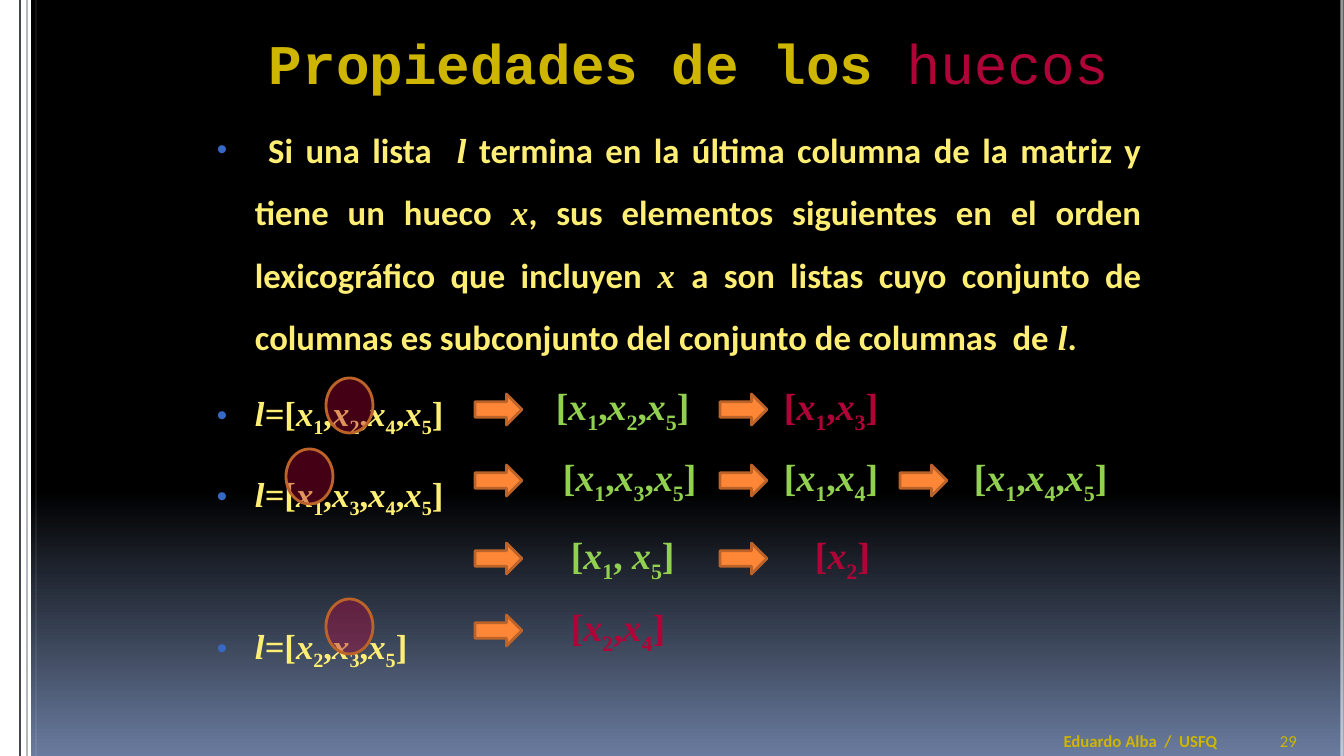
from dataclasses import dataclass
from itertools import groupby

from lxml.etree import SubElement
from pptx import Presentation
from pptx.dml.color import RGBColor
from pptx.enum.shapes import MSO_CONNECTOR as Connector, MSO_SHAPE as Preset
from pptx.enum.text import MSO_ANCHOR as Anchor, MSO_AUTO_SIZE as AutoSize, PP_ALIGN as Align
from pptx.oxml import parse_xml
from pptx.oxml.ns import nsdecls, qn
from pptx.util import Emu, Pt

EMU_PER_PX = 914400 / 100.8


@dataclass(frozen=True)
class Theme:
    """Colours, fonts and type sizes of the slide."""
    white: str = "FFFFFF"
    night: str = "000000"
    dusk: str = "697B9E"
    slate: str = "414752"
    gold: str = "CEB500"
    cream: str = "FFEE74"
    crimson: str = "B00439"
    green: str = "92D050"
    orange: str = "FE8637"
    rust: str = "BC6329"
    bullet: str = "3668C4"
    heading: str = "Courier New"
    prose: str = "Calibri"
    maths: str = "Times New Roman"
    title_pt: float = 40
    body_pt: float = 24.8
    list_pt: float = 27
    footer_pt: float = 12


THEME = Theme()


def px(length):
    """Turn pixels into EMU."""
    return Emu(round(length * EMU_PER_PX))


def rgb(colour):
    """Make a colour from its hex digits."""
    return RGBColor.from_string(colour)


def set_alpha(fill_parent, percent):
    """Make the solid fill inside an element partly transparent."""
    colour = fill_parent.find(qn("a:solidFill"))[0]
    SubElement(colour, qn("a:alpha")).set("val", str(percent * 1000))


def add_run(paragraph, text, font, size, colour, bold=True, italic=False, lowered=False):
    """Append one formatted run."""
    run = paragraph.add_run()
    run.text = text
    run.font.name, run.font.size = font, Pt(size)
    run.font.bold, run.font.italic = bold, italic
    run.font.color.rgb = rgb(colour)
    if lowered:
        run.font._element.set("baseline", "-25000")


def add_notation(paragraph, notation, size, colour):
    """Write a list such as l=[x1,x2]: italic letters, lowered digits."""
    def kind(char):
        return "index" if char.isdigit() else "letter" if char in "lx=" else "mark"

    for part, chars in groupby(notation, kind):
        add_run(paragraph, "".join(chars), THEME.maths, size, colour,
                italic=part == "letter", lowered=part == "index")


def add_text_frame(slide, box, wrap=True):
    """Add a text box and return its frame."""
    frame = slide.shapes.add_textbox(*map(px, box)).text_frame
    frame.word_wrap = wrap
    return frame


def add_preset(slide, preset, box, fill, line=None, alpha=None):
    """Add a flat preset shape with an optional outline and opacity."""
    shape = slide.shapes.add_shape(preset, *map(px, box))
    shape.shadow.inherit = False
    shape.fill.solid()
    shape.fill.fore_color.rgb = rgb(fill)
    if alpha:
        set_alpha(shape._element.spPr, alpha)
    if line:
        shape.line.color.rgb = rgb(line)
        shape.line.width = Pt(2)
    else:
        shape.line.fill.background()


def paint_background(slide):
    """Fill the background with a vertical gradient from night to dusk."""
    stops = "".join(f'<a:gs pos="{at * 1000}"><a:srgbClr val="{colour}"/></a:gs>'
                    for at, colour in ((0, THEME.night), (65, THEME.night), (100, THEME.dusk)))
    slide.background.fill.solid()
    properties = slide.background._cSld.bg.bgPr
    properties.replace(properties[0], parse_xml(
        f'<a:gradFill {nsdecls("a")} rotWithShape="1"><a:gsLst>{stops}</a:gsLst>'
        '<a:lin ang="5400000" scaled="0"/></a:gradFill>'))


def draw_edges(slide, box):
    """Draw the white band and the vertical rules at both sides."""
    left, top, width, height = box
    add_preset(slide, Preset.RECTANGLE, (left, top, 31, height), THEME.white)
    rules = ((20, THEME.slate, 1, None), (27, THEME.slate, 1, 59),
             (36, THEME.white, 0.25, 59), (width - 2, THEME.white, 2.25, 59))
    for x, colour, weight, alpha in rules:
        rule = slide.shapes.add_connector(
            Connector.STRAIGHT, px(left + x), px(top), px(left + x), px(top + height))
        rule.line.color.rgb = rgb(colour)
        rule.line.width = Pt(weight)
        if alpha:
            set_alpha(rule.line._ln, alpha)
        SubElement(rule._element.spPr, qn("a:effectLst"))


def write_footer(slide, box):
    """Write the author and the page number."""
    left, top, width, height = box
    author = add_text_frame(slide, (left, top + 9, 175, 30), wrap=False).paragraphs[0]
    author.alignment = Align.CENTER
    add_run(author, "Eduardo Alba  /  USFQ", THEME.prose, THEME.footer_pt, THEME.gold)
    page = add_text_frame(slide, (left + width - 74, top, 74, height))
    page.vertical_anchor = Anchor.BOTTOM
    add_run(page.paragraphs[0], "29", THEME.prose, THEME.footer_pt, THEME.gold, bold=False)


def write_title(slide, box):
    """Place the title placeholder and write its two-coloured text."""
    title = slide.shapes.title
    title.left, title.top, title.width, title.height = map(px, box)
    frame = title.text_frame
    frame.word_wrap, frame.auto_size = True, AutoSize.NONE
    frame.vertical_anchor = Anchor.TOP
    heading = frame.paragraphs[0]
    heading.alignment = Align.CENTER
    add_run(heading, "Propiedades de los ", THEME.heading, THEME.title_pt, THEME.gold)
    add_run(heading, "huecos", THEME.heading, THEME.title_pt, THEME.crimson, bold=False)


def format_bullet(paragraph, space_before):
    """Give a paragraph its bullet, hanging indent and spacing."""
    paragraph.alignment = Align.JUSTIFY
    paragraph.line_spacing = 1.5
    paragraph.space_before = Pt(space_before)
    properties = paragraph._p.get_or_add_pPr()
    properties.set("marL", str(px(45)))
    properties.set("indent", str(-px(38)))
    colour = SubElement(properties, qn("a:buClr"))
    SubElement(colour, qn("a:srgbClr")).set("val", THEME.bullet)
    SubElement(properties, qn("a:buSzPct")).set("val", "85000")
    SubElement(properties, qn("a:buFont")).set("typeface", "Arial")
    SubElement(properties, qn("a:buChar")).set("char", "•")


def write_property(slide, box):
    """Write the property and the three starting lists."""
    frame = add_text_frame(slide, box)
    statement = frame.paragraphs[0]
    format_bullet(statement, 7)
    pieces = (" ", "Si una lista  ", "l",
              " termina en la última columna de la matriz y tiene un hueco ", "x",
              ", sus elementos siguientes en el orden lexicográfico que incluyen ", "x ",
              "a son listas cuyo conjunto de columnas es subconjunto del conjunto"
              " de columnas  de ", "l", ".")
    for order, piece in enumerate(pieces):
        symbol = order % 2 == 0
        add_run(statement, piece, THEME.maths if symbol else THEME.prose,
                THEME.body_pt, THEME.cream, italic=symbol)
    for notation, space_before in (("l=[x1,x2,x4,x5]", 7), ("l=[x1,x3,x4,x5]", 7),
                                   ("l=[x2,x3,x5]", 58)):
        start = frame.add_paragraph()
        format_bullet(start, space_before)
        add_notation(start, notation, THEME.body_pt, THEME.cream)


def draw_successors(slide, box):
    """Draw each row of arrows and next lists, then circle the gaps."""
    left, top, _, row_height = box
    arrow_columns = (189, 434, 614)
    rows = ((0, 40, ((260, "[x1,x2,x5]", THEME.green), (488, "[x1,x3]", THEME.crimson))),
            (71, 0, ((267, "[x1,x3,x5]", THEME.green), (488, "[x1,x4]", THEME.green),
                     (678, "[x1,x4,x5]", THEME.green))),
            (149, None, ((275, "[x1, x5]", THEME.green), (519, "[x2]", THEME.crimson))),
            (221, 40, ((275, "[x2,x4]", THEME.crimson),)))
    for y, gap_x, successors in rows:
        row_top = top + y
        for arrow_x, (list_x, notation, colour) in zip(arrow_columns, successors):
            add_preset(slide, Preset.RIGHT_ARROW, (left + arrow_x, row_top + 16, 47, 31),
                       THEME.orange, THEME.rust)
            successor = add_text_frame(slide, (left + list_x, row_top, 181, row_height))
            add_notation(successor.paragraphs[0], notation, THEME.list_pt, colour)
        if gap_x is not None:
            add_preset(slide, Preset.OVAL, (left + gap_x, row_top, 47, 55),
                       THEME.crimson, THEME.rust, alpha=39)


def main():
    """Build and save the slide."""
    deck = Presentation()
    deck.slide_width, deck.slide_height = px(1344), px(756)
    slide = deck.slides.add_slide(deck.slide_layouts[5])
    paint_background(slide)
    draw_edges(slide, (0, 0, 1344, 756))
    write_footer(slide, (1053, 717, 291, 39))
    write_title(slide, (200, 23, 977, 149))
    write_property(slide, (200, 103, 952, 591))
    draw_successors(slide, (286, 378, 859, 56))
    deck.save("out.pptx")


main()
